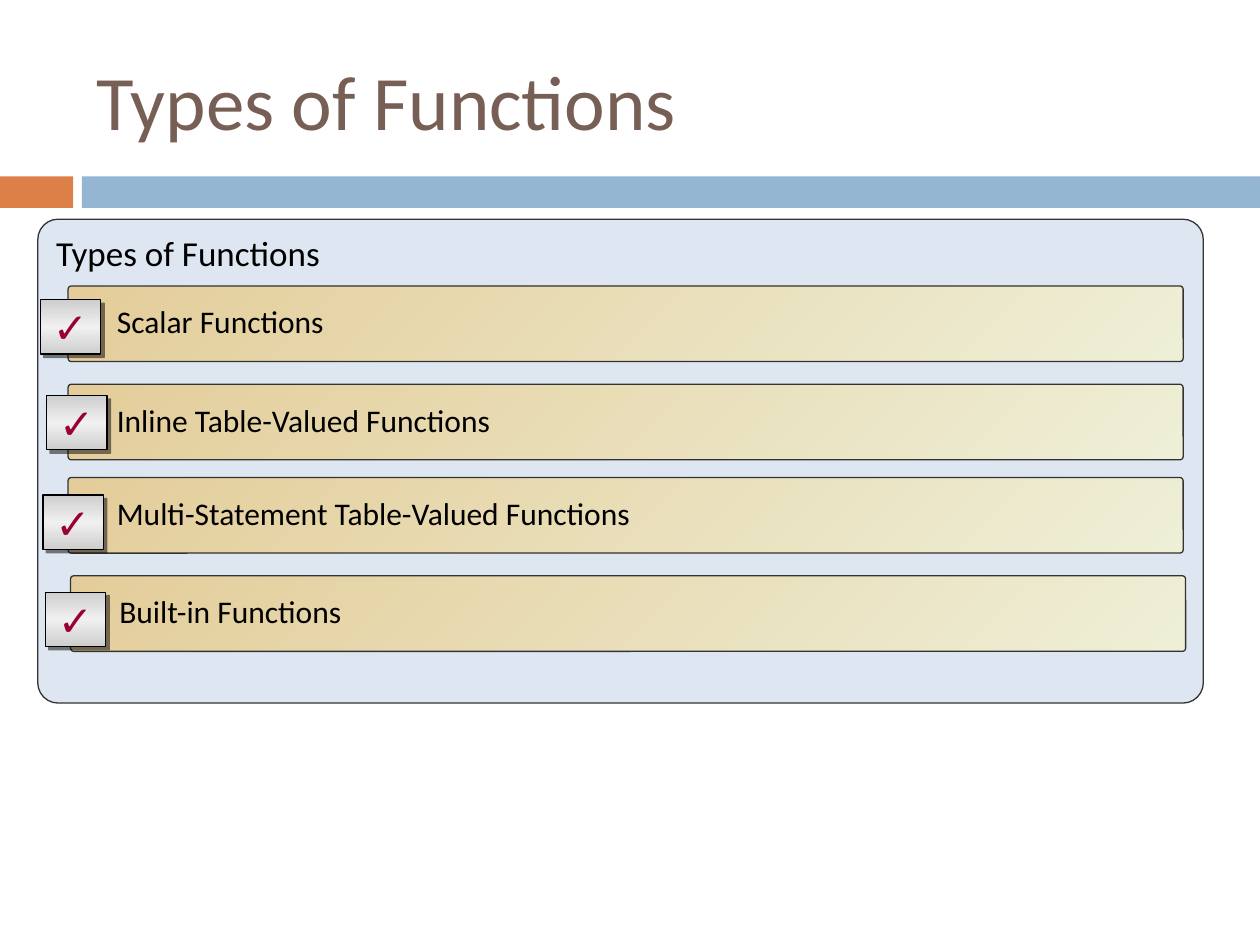
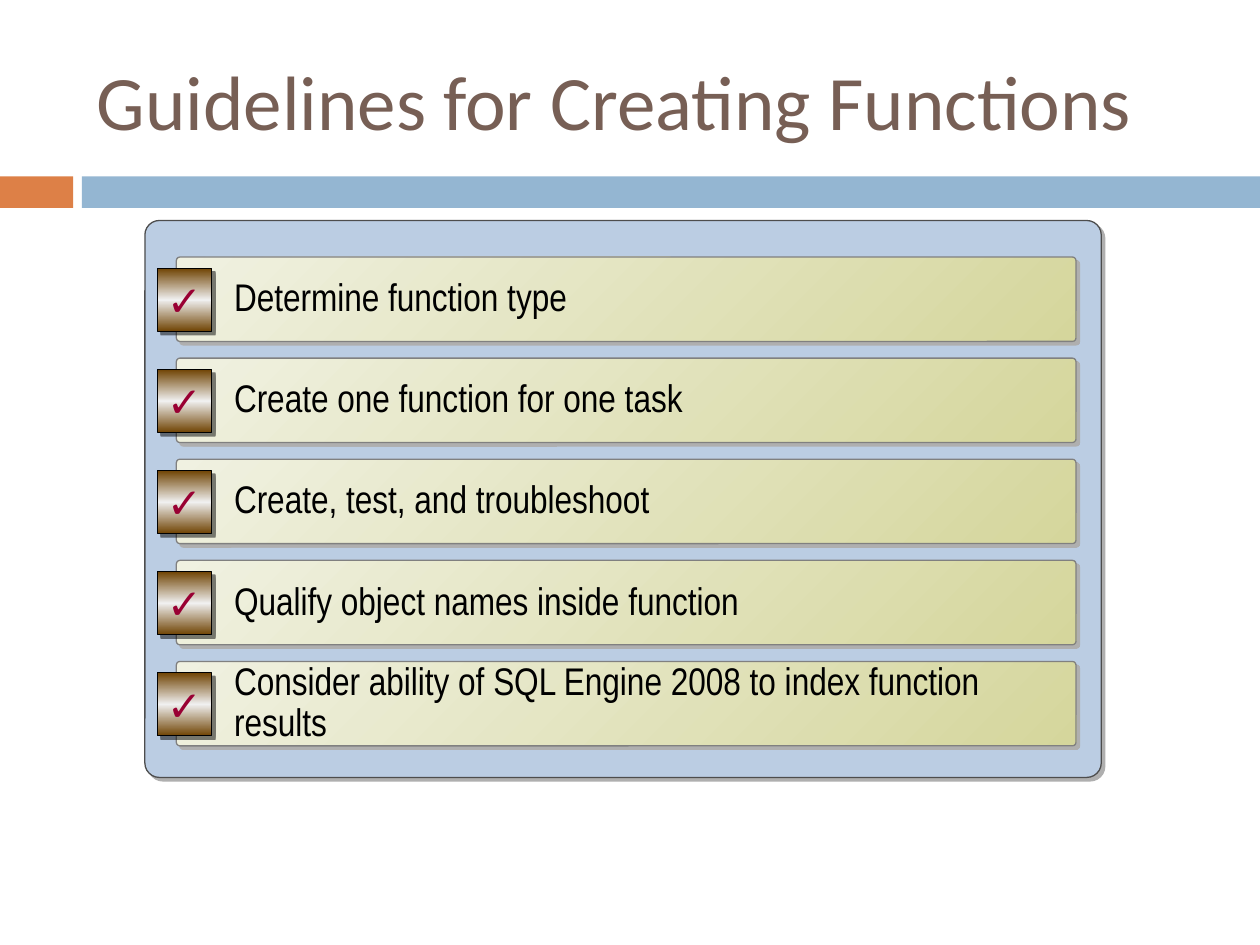
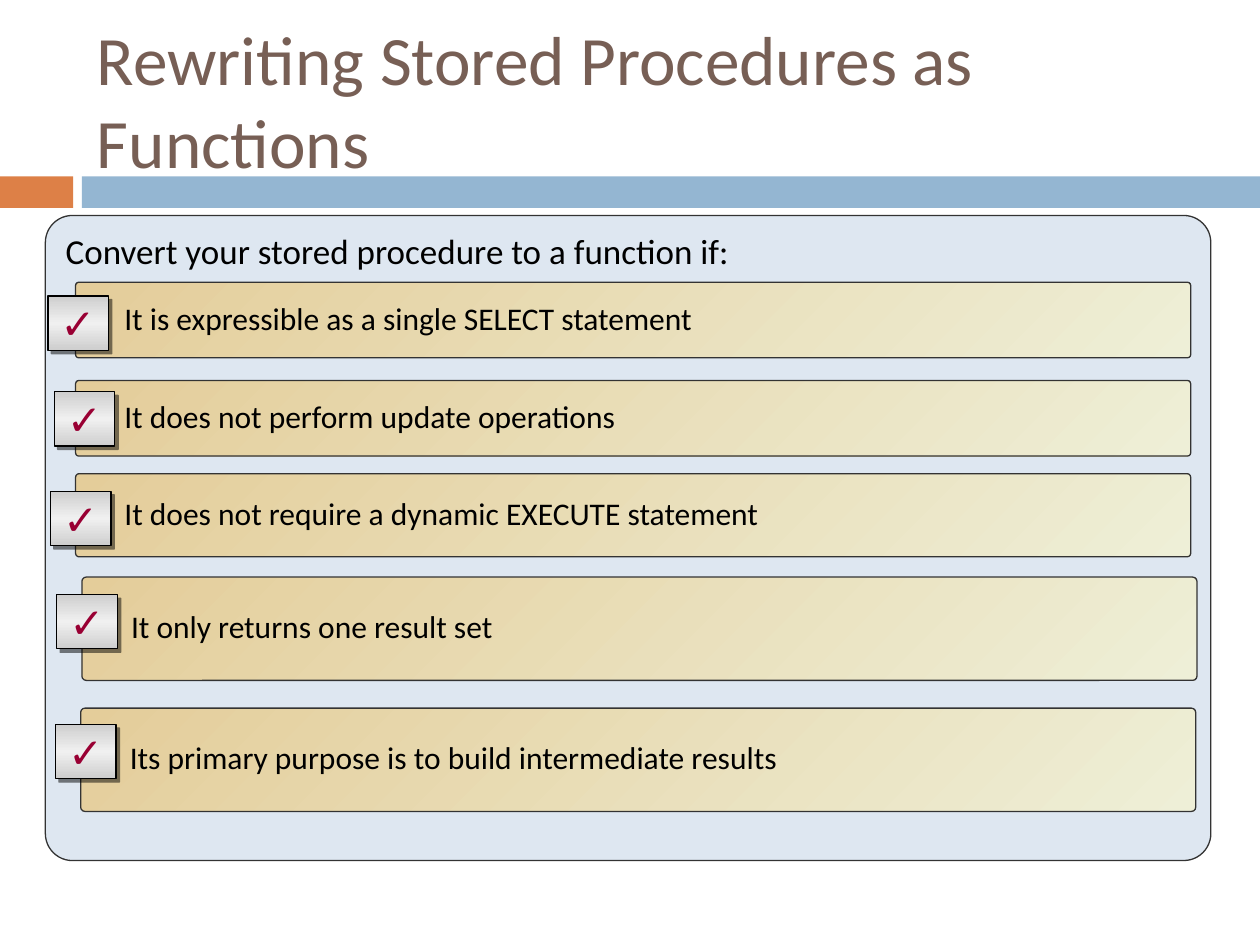
from dataclasses import dataclass
from typing import NamedTuple, Optional

from lxml import etree
from pptx import Presentation
from pptx import util as u
from pptx.dml import color
from pptx.enum import shapes, text
from pptx.oxml import ns

HEX = {
    "title": "775F55", "orange": "DD8047", "blue": "94B6D2",
    "pale": "DEE7F1", "steel": "BBCDE3", "ink": "000000", "tick": "990033",
    "dark": "333333", "slate": "4D4D4D", "gray": "808080", "shade": "AFAFAF",
    "sand": "E4CD9A", "cream": "EEEFD7", "ivory": "F0F1E1", "olive": "D5D69C",
    "silver": "CECECE", "white": "F0F0F0", "brown": "704404",
}
BOX = shapes.MSO_SHAPE.ROUNDED_RECTANGLE
LEFT, MID = text.PP_ALIGN.LEFT, text.PP_ALIGN.CENTER


class Rect(NamedTuple):
    """A place on the slide, in inches."""
    left: float
    top: float
    width: float
    height: float


class Row(NamedTuple):
    """One bar, with its tick box offset from the bar's corner."""
    label: str
    left: float
    top: float
    height: float
    dx: float
    dy: float


@dataclass(frozen=True)
class Look:
    """The style of a panel and the rows on it."""
    panel: str
    edge: str
    bend: float
    bar: tuple
    rim: str
    width: float
    font: str
    size: float
    inset: tuple
    tick: tuple
    tile: tuple
    shade: Optional[str] = None


PLAIN = Look("pale", "dark", 0.042, ("sand", "cream"), "dark", 8.85,
             "Calibri", 18, (0.38, 0.05, 0.1, 0.05),
             ("silver", "white", "silver"), (0.48, 0.43))
RICH = Look("steel", "slate", 0.026, ("ivory", "olive"), "gray", 7.14,
            "Arial Narrow", 22, (0.45, 0.25, 0.1, 0.25),
            ("brown", "white", "brown"), (0.43, 0.5), "shade")


def rgb(name: str) -> color.RGBColor:
    """Look up a colour."""
    return color.RGBColor.from_string(HEX[name])


def tint(parent, name: str):
    """Add a colour element to a parent element."""
    return etree.SubElement(parent, ns.qn("a:srgbClr"), val=HEX[name])


def blend(shape, names: tuple, angle: int) -> None:
    """Fill a shape with evenly spaced stops at a clockwise angle."""
    shape.fill.gradient()
    shape.fill.gradient_angle = 360 - angle
    stops = shape._element.spPr.find(".//" + ns.qn("a:gsLst"))
    for stop in list(stops):
        stops.remove(stop)
    for i, name in enumerate(names):
        place = str(100000 * i // (len(names) - 1))
        tint(etree.SubElement(stops, ns.qn("a:gs"), pos=place), name)


def cast(shape, name: str, alpha: int) -> None:
    """Give a shape a hard shadow to the lower right."""
    group = shape._element.spPr.find(ns.qn("a:effectLst"))
    drop = etree.SubElement(group, ns.qn("a:outerShdw"), blurRad="0",
                            dist=str(u.Pt(2.8)), dir="2700000",
                            algn="ctr", rotWithShape="0")
    etree.SubElement(tint(drop, name), ns.qn("a:alpha"),
                     val=str(alpha * 1000))


def draw(slide, kind, rect: Rect, fill, line: Optional[str] = None,
         bend: Optional[float] = None, angle: int = 45):
    """Add a shape; a tuple of colours as fill makes a gradient."""
    shape = slide.shapes.add_shape(kind, *map(u.Inches, rect))
    shape.shadow.inherit = False
    if bend is not None:
        shape.adjustments[0] = bend
    if isinstance(fill, tuple):
        blend(shape, fill, angle)
    else:
        shape.fill.solid()
        shape.fill.fore_color.rgb = rgb(fill)
    if line:
        shape.line.color.rgb = rgb(line)
        shape.line.width = u.Pt(0.75)
    else:
        shape.line.fill.background()
    return shape


def write(shape, words: str, font: str, size: float, ink: str = "ink",
          align=LEFT, anchor=text.MSO_ANCHOR.MIDDLE, wrap: bool = True):
    """Put one paragraph into a shape and return it."""
    frame = shape.text_frame
    frame.word_wrap = wrap
    frame.vertical_anchor = anchor
    para = frame.paragraphs[0]
    para.text = words
    para.alignment = align
    para.font.name = font
    para.font.size = u.Pt(size)
    para.font.color.rgb = rgb(ink)
    return para


def start(deck, title: str, size: float = 44):
    """Add a slide with the shared bands and a title."""
    slide = deck.slides.add_slide(deck.slide_layouts[6])
    flat = shapes.MSO_SHAPE.RECTANGLE
    draw(slide, flat, Rect(0, 1.4, 0.58, 0.25), "orange")
    draw(slide, flat, Rect(0.65, 1.4, 9.35, 0.25), "blue")
    head = slide.shapes.add_textbox(*map(u.Inches, (0.67, 0.25, 8.92, 1.08)))
    write(head, title, "Calibri", size, "title")
    return slide


def panel(slide, look: Look, rect: Rect, words: str = "") -> None:
    """Draw the panel behind the rows, with an optional lead line."""
    shape = draw(slide, BOX, rect, look.panel, look.edge, look.bend)
    if look.shade:
        cast(shape, look.shade, 100)
    if words:
        write(shape, words, "Calibri", 20, anchor=text.MSO_ANCHOR.TOP)


def fill_rows(slide, look: Look, rows: list) -> None:
    """Draw each bar with its tick box."""
    for row in rows:
        rect = Rect(row.left, row.top, look.width, row.height)
        bar = draw(slide, BOX, rect, look.bar, look.rim, 0.042)
        if look.shade:
            cast(bar, look.shade, 100)
        frame = bar.text_frame
        (frame.margin_left, frame.margin_top, frame.margin_right,
         frame.margin_bottom) = map(u.Inches, look.inset)
        write(bar, row.label, look.font, look.size).line_spacing = 0.9

        spot = Rect(row.left + row.dx, row.top + row.dy, *look.tile)
        tile = draw(slide, BOX, spot, look.tick, "ink", 0, 90)
        cast(tile, "ink", 50)
        write(tile, "✓", "Arial", 24, "tick", MID, wrap=False)


def types(deck) -> None:
    """Build the slide on function types."""
    slide = start(deck, "Types of Functions")
    panel(slide, PLAIN, Rect(0.3, 1.74, 9.25, 3.84), "Types of Functions")
    fill_rows(slide, PLAIN, [
        Row("Scalar Functions", 0.54, 2.27, 0.6, -0.22, 0.11),
        Row("Inline Table-Valued Functions", 0.54, 3.05, 0.6, -0.17, 0.09),
        Row("Multi-Statement Table-Valued Functions",
            0.54, 3.79, 0.6, -0.2, 0.14),
        Row("Built-in Functions", 0.56, 4.57, 0.6, -0.2, 0.13),
    ])


def guide(deck) -> None:
    """Build the slide of guidelines, with evenly spaced rows."""
    slide = start(deck, "Guidelines for Creating Functions")
    panel(slide, RICH, Rect(1.15, 1.75, 7.59, 4.42))
    labels = [
        "Determine function type",
        "Create one function for one task",
        "Create, test, and troubleshoot",
        "Qualify object names inside function",
        "Consider ability of SQL Engine 2008 to index function results",
    ]
    first, last = 2.04, 5.25
    step = (last - first) / (len(labels) - 1)
    fill_rows(slide, RICH, [
        Row(label, 1.4, first + i * step, 0.67, -0.15, 0.09)
        for i, label in enumerate(labels)
    ])


def rewrite(deck) -> None:
    """Build the slide on converting procedures."""
    slide = start(deck, "Rewriting Stored Procedures as Functions", 39.6)
    panel(slide, PLAIN, Rect(0.36, 1.71, 9.25, 5.12),
          "Convert your stored procedure to a function if:")
    fill_rows(slide, PLAIN, [
        Row("It is expressible as a single SELECT statement",
            0.6, 2.24, 0.6, -0.22, 0.11),
        Row("It does not perform update operations",
            0.6, 3.02, 0.6, -0.17, 0.09),
        Row("It does not require a dynamic EXECUTE statement",
            0.6, 3.76, 0.66, -0.2, 0.14),
        Row("It only returns one result set", 0.65, 4.58, 0.82, -0.2, 0.14),
        Row("Its primary purpose is to build intermediate results",
            0.64, 5.62, 0.82, -0.2, 0.13),
    ])


def main() -> None:
    """Build and save the deck."""
    deck = Presentation()
    deck.slide_width, deck.slide_height = u.Inches(10), u.Inches(7.5)
    for build in (types, guide, rewrite):
        build(deck)
    deck.save("out.pptx")


main()
